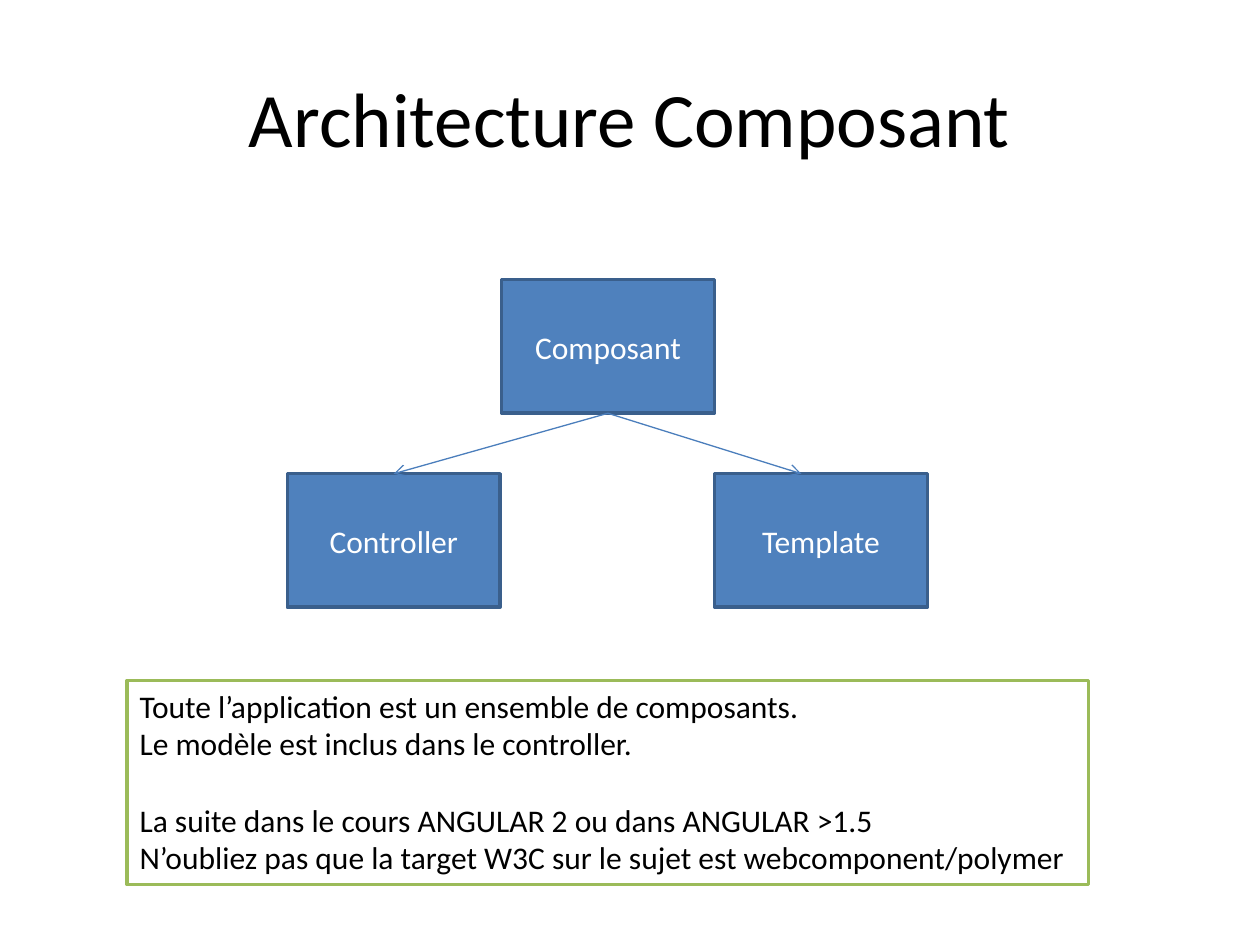
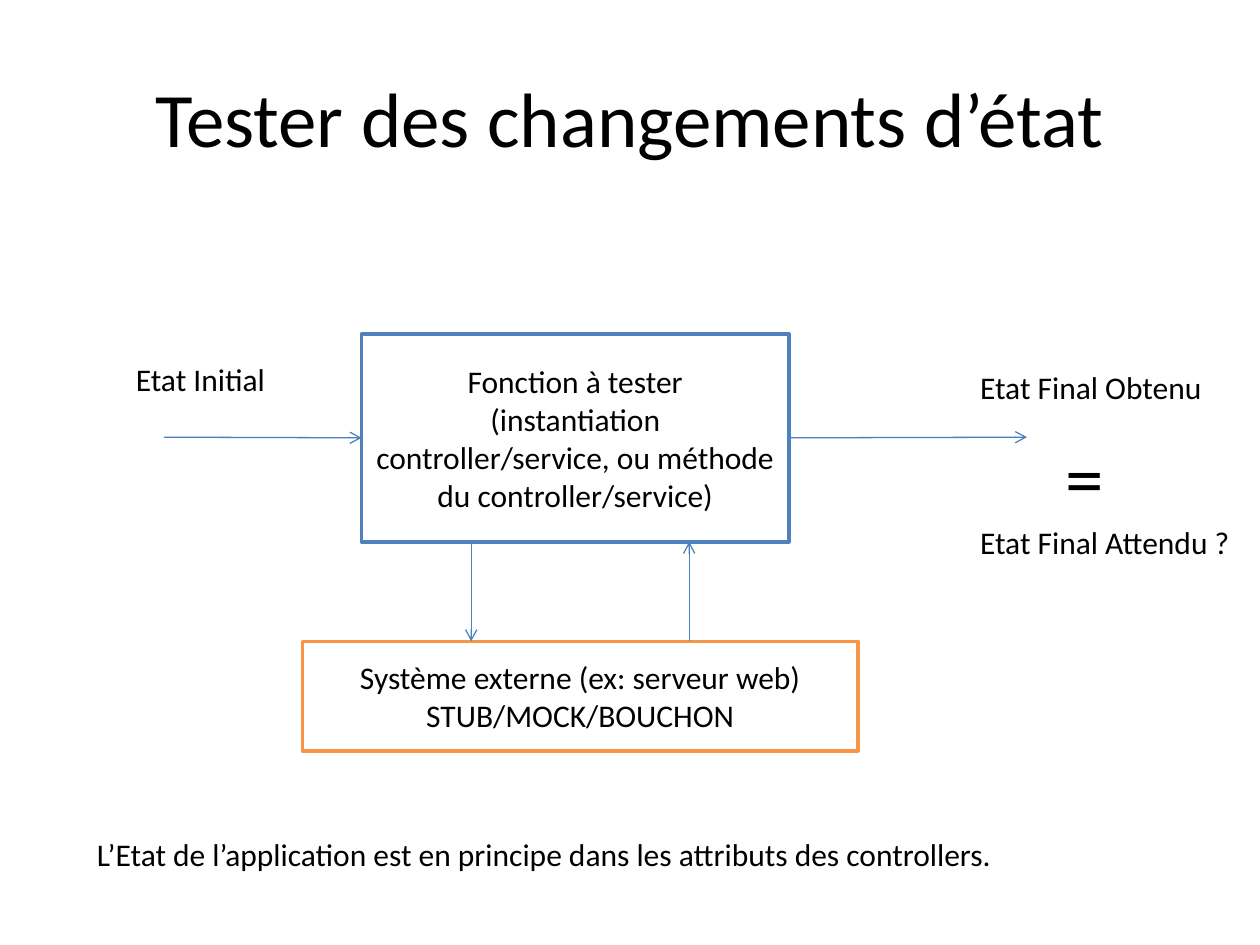
import pptx
import pptx.util
import pptx.dml.color
import pptx.enum.shapes
import pptx.enum.text
import pptx.oxml
import pptx.oxml.ns
from dataclasses import dataclass
from pptx.util import Inches


@dataclass(frozen=True)
class Theme:
    font: str = "Calibri"
    title_size: int = 44
    body_size: int = 18
    box_line: float = 2
    arrow_line: float = 0.75
    black: str = "000000"
    white: str = "FFFFFF"
    blue: str = "4F81BD"
    dark_blue: str = "3A5F8C"
    arrow_blue: str = "4B7EBC"
    green: str = "9BBB59"
    orange: str = "F79646"


theme = Theme()
color = pptx.dml.color.RGBColor.from_string
align = pptx.enum.text.PP_ALIGN
anchor = pptx.enum.text.MSO_ANCHOR


def write_text(shape, paragraphs, size=theme.body_size, text_color=theme.black,
               alignment=align.CENTER, vertical=anchor.MIDDLE, wrap=True):
    frame = shape.text_frame
    frame.word_wrap = wrap
    frame.vertical_anchor = vertical
    fit = pptx.enum.text.MSO_AUTO_SIZE
    frame.auto_size = fit.NONE if wrap else fit.SHAPE_TO_FIT_TEXT
    for index, text in enumerate(paragraphs):
        paragraph = frame.add_paragraph() if index else frame.paragraphs[0]
        paragraph.alignment = alignment
        for line_index, line in enumerate(text.split("\n")):
            if line_index:
                paragraph.add_line_break()
            run = paragraph.add_run()
            run.text = line
            run.font.name = theme.font
            run.font.size = pptx.util.Pt(size)
            run.font.color.rgb = color(text_color)


def add_arrow(slide, start, end):
    arrow = slide.shapes.add_connector(
        pptx.enum.shapes.MSO_CONNECTOR.STRAIGHT, *map(Inches, start + end))
    arrow.line.color.rgb = color(theme.arrow_blue)
    arrow.line.width = pptx.util.Pt(theme.arrow_line)
    head = pptx.oxml.parse_xml(f'<a:tailEnd {pptx.oxml.ns.nsdecls("a")} type="arrow"/>')
    arrow.line._get_or_add_ln().append(head)
    arrow._element.spPr.append(
        pptx.oxml.parse_xml(f'<a:effectLst {pptx.oxml.ns.nsdecls("a")}/>'))
    return arrow


presentation = pptx.Presentation()
presentation.slide_width = Inches(10)
presentation.slide_height = Inches(7.5)

slides = []
for heading in ("Architecture Composant", "Tester des changements d’état"):
    slide = presentation.slides.add_slide(presentation.slide_layouts[5])
    title = slide.shapes.title
    title.left, title.top, title.width, title.height = map(Inches, (0.5, 0.3, 9, 1.25))
    write_text(title, [heading], theme.title_size)
    slides.append(slide)
architecture, testing = slides

note_lines = [
    "Toute l’application est un ensemble de composants.",
    "Le modèle est inclus dans le controller.",
    "La suite dans le cours ANGULAR 2 ou dans ANGULAR >1.5",
    "N’oubliez pas que la target W3C sur le sujet est webcomponent/polymer",
]
function_lines = [
    "Fonction à tester\n(instantiation controller/service, ou méthode du controller/service)"
]
external_lines = ["Système externe (ex: serveur web)", "STUB/MOCK/BOUCHON"]

node_style = (theme.blue, theme.dark_blue, theme.white)
boxes = {}
for name, slide, place, lines, (fill, outline, text_color) in (
    ("component", architecture, (3.98, 2.22, 1.69, 1.06), ["Composant"], node_style),
    ("controller", architecture, (2.28, 3.76, 1.69, 1.06), ["Controller"], node_style),
    ("template", architecture, (5.67, 3.76, 1.69, 1.06), ["Template"], node_style),
    ("note", architecture, (1.01, 5.4, 7.63, 1.62), note_lines,
     (theme.white, theme.green, theme.black)),
    ("function", testing, (2.87, 2.65, 3.39, 1.65), function_lines,
     (theme.white, theme.blue, theme.black)),
    ("external", testing, (2.4, 5.09, 4.41, 0.87), external_lines,
     (theme.white, theme.orange, theme.black)),
):
    box = slide.shapes.add_shape(
        pptx.enum.shapes.MSO_SHAPE.RECTANGLE, *map(Inches, place))
    box.shadow.inherit = False
    box.fill.solid()
    box.fill.fore_color.rgb = color(fill)
    box.line.color.rgb = color(outline)
    box.line.width = pptx.util.Pt(theme.box_line)
    if name == "note":
        write_text(box, lines, alignment=align.LEFT, vertical=anchor.TOP, wrap=False)
        box.text_frame.paragraphs[2].space_before = pptx.util.Pt(22)
    else:
        write_text(box, lines, text_color=text_color)
    boxes[name] = box

to_controller = add_arrow(architecture, (4.82, 3.29), (3.13, 3.76))
to_controller.begin_connect(boxes["component"], 2)
to_controller.end_connect(boxes["controller"], 0)
to_template = add_arrow(architecture, (4.82, 3.29), (6.36, 3.76))
to_template.begin_connect(boxes["component"], 2)

add_arrow(testing, (1.3, 3.47), (2.87, 3.47)).end_connect(boxes["function"], 1)
add_arrow(testing, (6.26, 3.47), (8.15, 3.47)).begin_connect(boxes["function"], 3)
add_arrow(testing, (3.74, 4.3), (3.74, 5.09))
add_arrow(testing, (5.47, 5.09), (5.47, 4.3))

for text, place, size in (
    ("Etat Initial", (0.98, 2.81, 1.24, 0.4), theme.body_size),
    ("Etat Final Obtenu", (7.68, 2.87, 1.98, 0.4), theme.body_size),
    ("=", (8.36, 3.36, 0.65, 0.84), theme.title_size),
    ("Etat Final Attendu ?", (7.68, 4.1, 2.21, 0.4), theme.body_size),
    ("L’Etat de l’application est en principe dans les attributs des controllers.",
     (0.67, 6.58, 7.33, 0.4), theme.body_size),
):
    label = testing.shapes.add_textbox(*map(Inches, place))
    write_text(label, [text], size, alignment=align.LEFT, vertical=anchor.TOP, wrap=False)

presentation.save("out.pptx")
